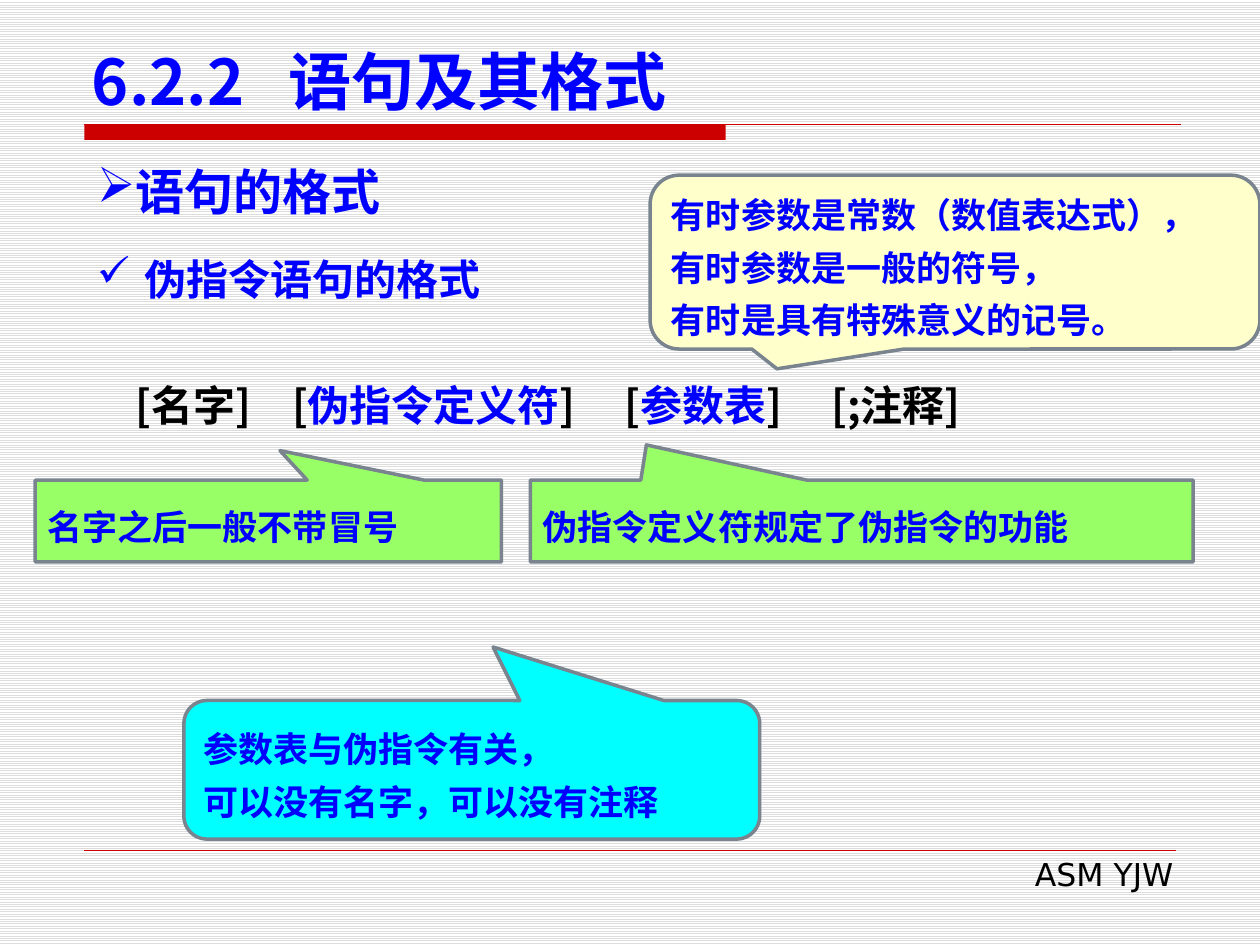
from lxml import etree
from pptx import Presentation
from pptx.dml.color import RGBColor
from pptx.enum.dml import MSO_PATTERN
from pptx.enum.shapes import MSO_CONNECTOR, MSO_SHAPE
from pptx.enum.text import MSO_ANCHOR, PP_ALIGN
from pptx.oxml.ns import qn
from pptx.util import Inches, Pt

SANS, CJK = "DejaVu Sans", "Noto Sans CJK SC"
BLUE, BLACK, RED = "0000FF", "000000", "CC0000"


def rgb(value):
    return RGBColor.from_string(value)


def format_runs(paragraph, size, latin, color=BLUE, bold=True):
    for run in paragraph.runs:
        run.font.size = Pt(size)
        run.font.bold = bold
        run.font.name = latin
        run.font.color.rgb = rgb(color)
        east_asian = etree.SubElement(run.font._element, qn("a:ea"))
        east_asian.set("typeface", CJK)


prs = Presentation()
prs.slide_width, prs.slide_height = Inches(10), Inches(7.5)
slide = prs.slides.add_slide(prs.slide_layouts[5])
shapes = slide.shapes

paper = slide.background.fill
paper.patterned()
paper.pattern = MSO_PATTERN.LIGHT_HORIZONTAL
paper.fore_color.rgb = rgb("DDDDDD")
paper.back_color.rgb = rgb("FFFFFF")

# Title with its red bar, and the two thin rules
title = shapes.title
title.left, title.top = Inches(0.63), Inches(0.33)
title.width, title.height = Inches(8.75), Inches(0.66)
title.text_frame.text = "6.2.2\t语句及其格式"
title.text_frame.vertical_anchor = MSO_ANCHOR.BOTTOM
heading = title.text_frame.paragraphs[0]
heading.alignment = PP_ALIGN.LEFT

title_bar = shapes.add_shape(MSO_SHAPE.RECTANGLE, Inches(0.67), Inches(0.99), Inches(5.09), Inches(0.12))
title_bar.shadow.inherit = False
title_bar.fill.solid()
title_bar.fill.fore_color.rgb = rgb(RED)
title_bar.line.fill.background()

for y, right, weight in [(0.99, 9.37, 0.75), (6.75, 9.33, 0.25)]:
    rule = shapes.add_connector(MSO_CONNECTOR.STRAIGHT, Inches(0.67), Inches(y), Inches(right), Inches(y))
    rule.line.color.rgb = rgb(RED)
    rule.line.width = Pt(weight)
    etree.SubElement(rule._element.spPr, qn("a:effectLst"))

# Text boxes: footer, section heading, statement format
frames = []
for left, top, width, height in [
    (3.82, 6.74, 5.59, 0.4),
    (0.67, 1.23, 8.66, 0.57),
    (0.67, 1.86, 9.06, 1.62),
]:
    box = shapes.add_textbox(Inches(left), Inches(top), Inches(width), Inches(height))
    box.text_frame.word_wrap = True
    frames.append(box.text_frame)
footer_frame, section_frame, format_frame = frames

footer_frame.text = "ASM YJW"
footer = footer_frame.paragraphs[0]
footer.alignment = PP_ALIGN.RIGHT
format_runs(footer, 18, SANS, BLACK, bold=False)

section_frame.text = "语句的格式"
section = section_frame.paragraphs[0]
section.alignment = PP_ALIGN.JUSTIFY

format_frame.text = "伪指令语句的格式"
subsection = format_frame.paragraphs[0]
subsection.line_spacing = Pt(36)

for paragraph, bullet, indent in [(section, "➢", 0), (subsection, "✓", 0.38)]:
    properties = paragraph._p.get_or_add_pPr()
    properties.set("marL", str(Inches(indent)))
    properties.set("indent", str(-Inches(indent)))
    etree.SubElement(properties, qn("a:buChar")).set("char", bullet)

syntax = format_frame.add_paragraph()
syntax.line_spacing = Pt(36)
syntax.space_before = Pt(36)
for part, color in [
    ("\t[名字]\t[", BLACK),
    ("伪指令定义符", BLUE),
    ("]\t[", BLACK),
    ("参数表", BLUE),
    ("]\t[;注释]", BLACK),
]:
    run = syntax.add_run()
    run.text = part
for paragraph, stops in [(heading, [1.56]), (syntax, [0.31, 1.55, 4.19, 5.83])]:
    tabs = etree.SubElement(paragraph._p.get_or_add_pPr(), qn("a:tabLst"))
    for stop in stops:
        etree.SubElement(tabs, qn("a:tab"), pos=str(Inches(stop)), algn="l")

format_runs(heading, 36, CJK)
format_runs(section, 28, SANS)
format_runs(subsection, 24, CJK)
format_runs(syntax, 24, CJK)
for run in syntax.runs[::2]:
    run.font.color.rgb = rgb(BLACK)

# Callouts: preset, place, pointer adjustments, fill, font, lines
callouts = [
    (MSO_SHAPE.RECTANGULAR_CALLOUT, (4.21, 3.81, 5.26, 0.65), (-0.325, -0.929),
     "99FF66", SANS, ["伪指令定义符规定了伪指令的功能"]),
    (MSO_SHAPE.RECTANGULAR_CALLOUT, (0.28, 3.81, 3.7, 0.65), (0.025, -0.86),
     "99FF66", SANS, ["名字之后一般不带冒号"]),
    (MSO_SHAPE.ROUNDED_RECTANGULAR_CALLOUT, (1.46, 5.56, 4.57, 1.1), (0.037, -0.886),
     "00FFFF", SANS, ["参数表与伪指令有关，", "可以没有名字，可以没有注释"]),
    (MSO_SHAPE.ROUNDED_RECTANGULAR_CALLOUT, (5.16, 1.39, 4.84, 1.38), (-0.292, 0.614),
     "FFFFCC", CJK, ["有时参数是常数（数值表达式），", "有时参数是一般的符号，", "有时是具有特殊意义的记号。"]),
]
for preset, place, pointer, fill, latin, lines in callouts:
    callout = shapes.add_shape(preset, *[Inches(length) for length in place])
    callout.shadow.inherit = False
    callout.adjustments[0], callout.adjustments[1] = pointer
    callout.fill.solid()
    callout.fill.fore_color.rgb = rgb(fill)
    callout.line.color.rgb = rgb("79848F")
    callout.line.width = Pt(2)
    callout.text_frame.vertical_anchor = MSO_ANCHOR.MIDDLE
    callout.text_frame.text = "\n".join(lines)
    for paragraph in callout.text_frame.paragraphs:
        paragraph.alignment = PP_ALIGN.LEFT
        paragraph.line_spacing = Pt(30)
        format_runs(paragraph, 20, latin)

prs.save("out.pptx")
